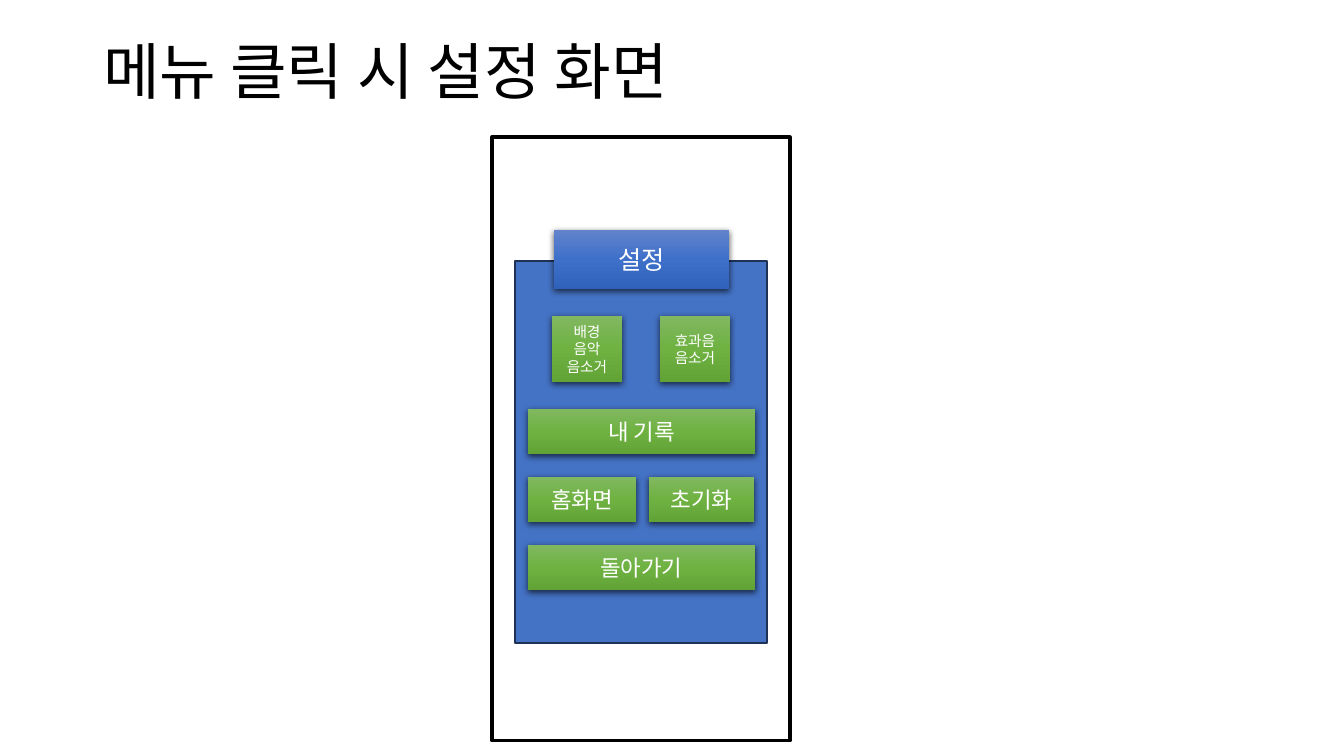
from lxml.etree import SubElement
from copy import deepcopy
from pptx import Presentation
from pptx.dml.color import RGBColor
from pptx.enum.shapes import MSO_SHAPE as Shape
from pptx.enum.text import MSO_ANCHOR as Anchor, PP_ALIGN as Align
from pptx.oxml.ns import qn
from pptx.util import Pt

EMU_PER_PX = 12192000 / 1344
FONT = "Noto Sans CJK KR"
GREEN = ("81B861", "6FB242", "62A336")
BLUE = ("6183CB", "3E70CA", "3062BB")


def px(length):
    return round(length * EMU_PER_PX)


def color(value):
    return RGBColor.from_string(value)


def add_text(para, text, size, ink):
    span = para.add_run()
    span.text = text
    span.font.name = FONT
    span.font.size = Pt(size)
    span.font.color.rgb = color(ink)
    SubElement(span.font._element, qn("a:ea"), typeface=FONT)


def set_title(page, text):
    box = page.shapes.title
    box.left, box.top, box.width, box.height = map(px, (93, 2, 1159, 146))
    box.text_frame.vertical_anchor = Anchor.MIDDLE
    para = box.text_frame.paragraphs[0]
    para.alignment = Align.LEFT
    para.line_spacing = 0.9
    add_text(para, text, 44, "000000")


def add_box(page, left, top, width, height):
    box = page.shapes.add_shape(Shape.RECTANGLE, *map(px, (left, top, width, height)))
    box.shadow.inherit = False
    return box


def add_frame(page, bounds, fill, line, weight):
    box = add_box(page, *bounds)
    box.fill.solid()
    box.fill.fore_color.rgb = color(fill)
    box.line.color.rgb = color(line)
    box.line.width = Pt(weight)


def fill_gradient(box, shades):
    box.fill.gradient()
    box.fill.gradient_angle = 270
    stop_list = box._element.spPr.find(".//" + qn("a:gsLst"))
    stop_list.append(deepcopy(stop_list[-1]))
    for index, (stop, shade) in enumerate(zip(box.fill.gradient_stops, shades)):
        stop.position = index / 2
        stop.color.rgb = color(shade)


def add_shadow(box):
    effects = box._element.spPr.find(qn("a:effectLst"))
    shadow = SubElement(effects, qn("a:outerShdw"), blurRad=str(Pt(4.5)),
                        dist=str(Pt(1.5)), dir="5400000", algn="ctr", rotWithShape="0")
    shade = SubElement(shadow, qn("a:srgbClr"), val="000000")
    SubElement(shade, qn("a:alpha"), val="63000")


def add_button(page, text, bounds, size, shades=GREEN):
    box = add_box(page, *bounds)
    fill_gradient(box, shades)
    box.line.fill.background()
    add_shadow(box)
    frame = box.text_frame
    frame.word_wrap = True
    frame.vertical_anchor = Anchor.MIDDLE
    para = frame.paragraphs[0]
    para.alignment = Align.CENTER
    add_text(para, text, size, "FFFFFF")


def main():
    deck = Presentation()
    deck.slide_width, deck.slide_height = px(1344), px(756)
    page = deck.slides.add_slide(deck.slide_layouts[5])
    set_title(page, "메뉴 클릭 시 설정 화면")
    add_frame(page, (492, 137, 298, 604), "FFFFFF", "000000", 2.25)
    add_frame(page, (515, 261, 252, 382), "4472C4", "1E3256", 1)
    add_button(page, "설정", (554, 230, 175, 59), 18, BLUE)
    for text, left in (("배경 음악 음소거", 552), ("효과음 음소거", 660)):
        add_button(page, text, (left, 316, 70, 66), 10.5)
    rows = (
        (("내 기록", 528, 227),),
        (("홈화면", 528, 108), ("초기화", 649, 105)),
        (("돌아가기", 528, 227),),
    )
    for index, row in enumerate(rows):
        for text, left, width in row:
            add_button(page, text, (left, 409 + 68 * index, width, 45), 16)
    deck.save("out.pptx")


if __name__ == "__main__":
    main()
